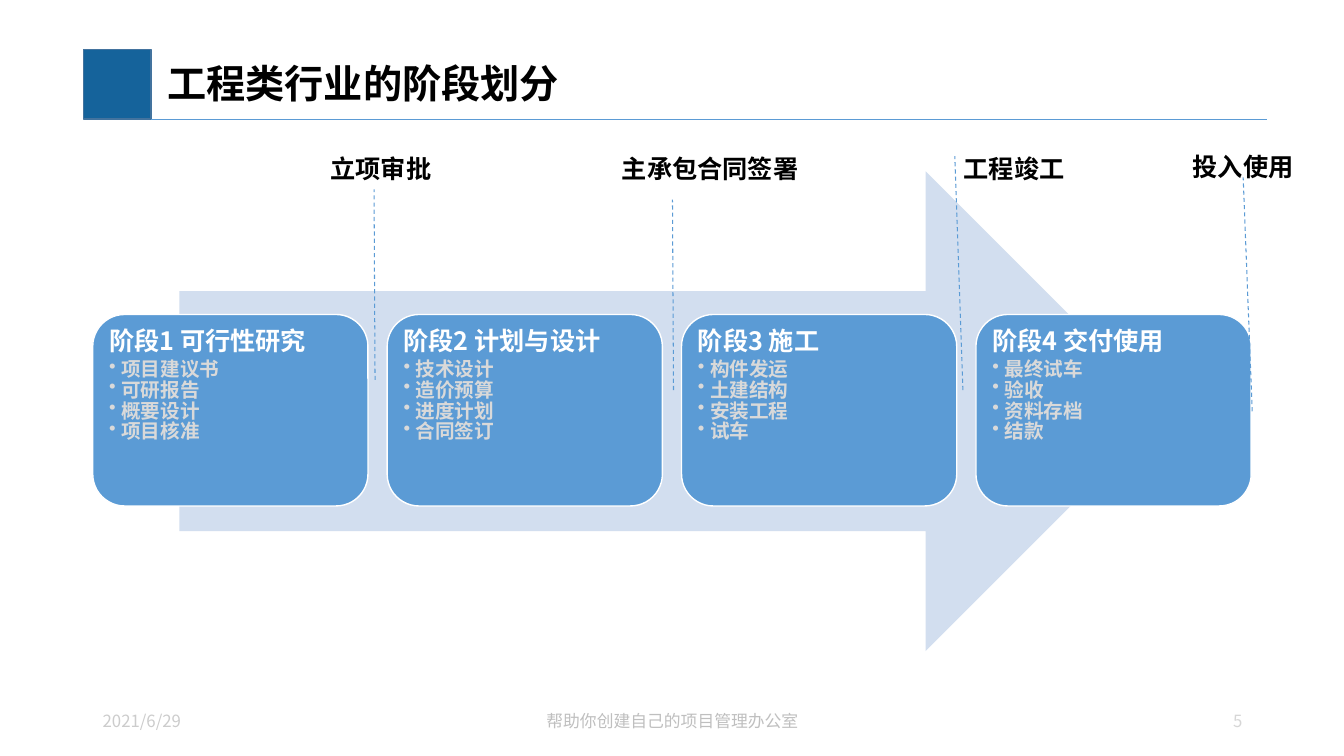
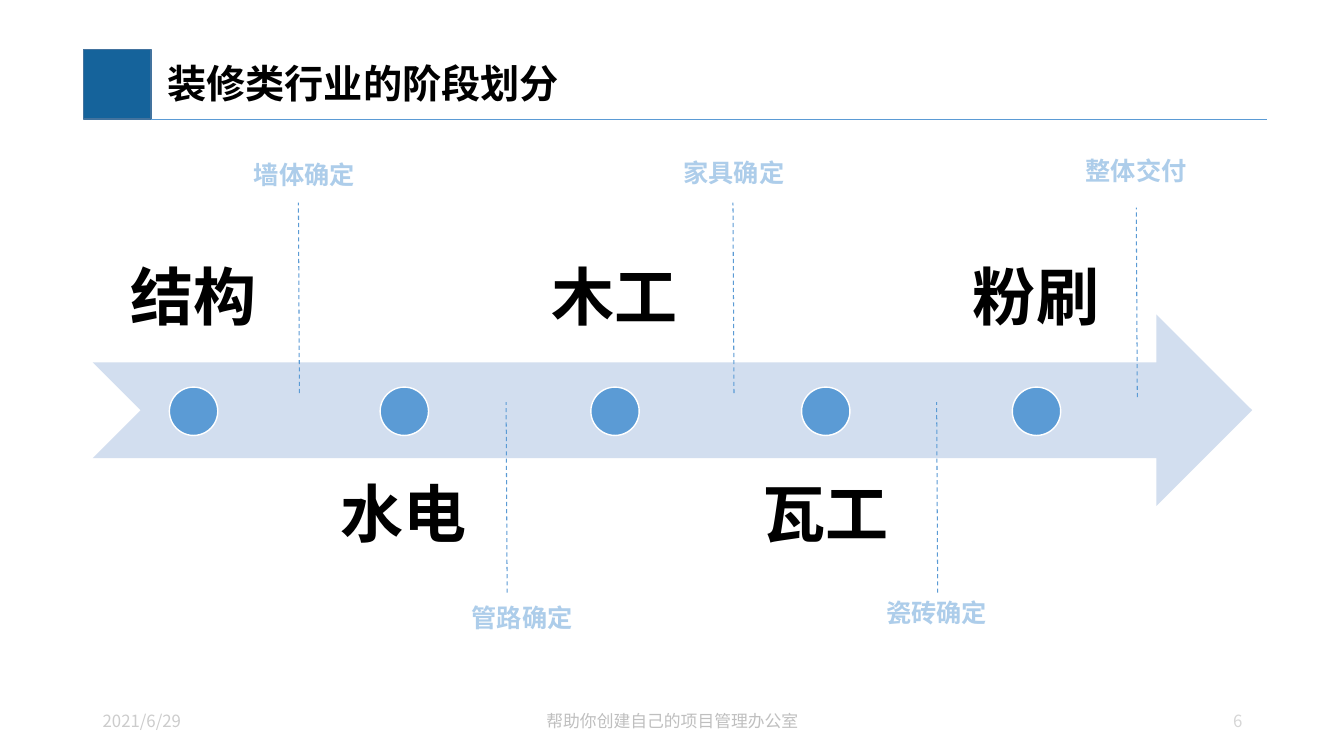
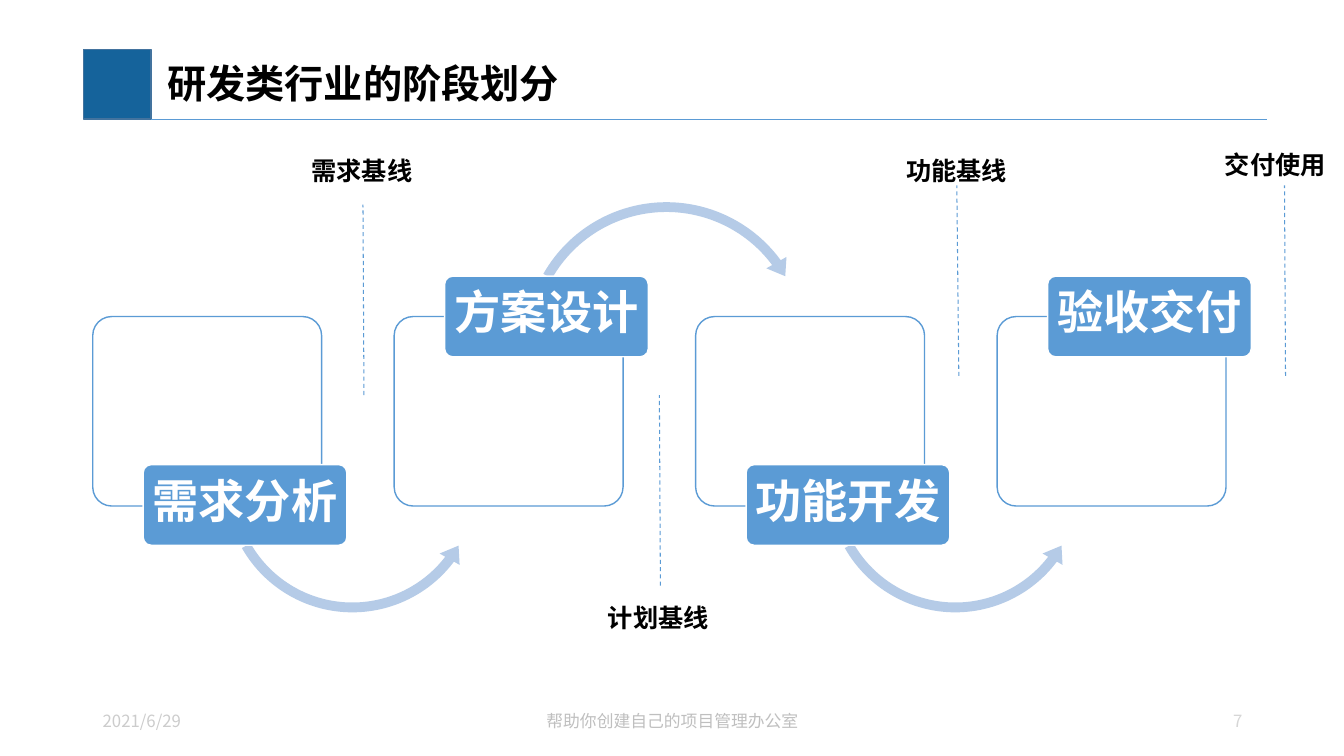
"""Build three slides on how projects are split into phases in different industries."""
from dataclasses import dataclass

from lxml import etree
from pptx import Presentation
from pptx import util as u
from pptx.dml import color
from pptx.enum import dml, shapes, text
from pptx.oxml import ns

FONT = "Noto Sans CJK SC"
COLORS = {
    "black": "000000", "white": "FFFFFF", "navy": "15639B", "navy_edge": "43739E",
    "blue": "5B9BD5", "pale": "D2DEEF", "arc": "B5CBE7", "label": "ADCDEA",
    "bullet": "D9D9D9", "date": "CCCCCC", "footer": "BFBFBF", "number": "D6D6D6",
}
SHAPE = shapes.MSO_SHAPE
ALIGN = text.PP_ALIGN
ANCHOR = text.MSO_ANCHOR
LEFT_EDGE = 0.92


@dataclass(frozen=True)
class Box:
    x: float
    y: float
    w: float
    h: float

    def lengths(self) -> list:
        return [u.Inches(v) for v in (self.x, self.y, self.w, self.h)]


@dataclass(frozen=True)
class Style:
    size: float
    color: str
    bold: bool = True
    align: ALIGN = ALIGN.LEFT
    spacing: float = 1.0
    after: float = 0
    bullet: bool = False


@dataclass(frozen=True)
class Milestone:
    name: str
    x: float
    y: float
    foot: tuple[float, float]
    head: tuple[float, float]
    width: float = 1.21


@dataclass(frozen=True)
class Phase:
    title: str
    tasks: tuple[str, ...]


@dataclass(frozen=True)
class Arc:
    kind: SHAPE
    dx: float
    y: float
    size: float
    adjustments: tuple[float, ...]


TITLE = Style(28, "black", spacing=0.9)
PHASE_TITLE = Style(18, "white", spacing=0.8, after=4.7)
TASK = Style(14, "bullet", spacing=0.8, after=1.3, bullet=True)
STEP = Style(45, "black", align=ALIGN.CENTER, spacing=0.8)
STAGE = Style(33, "white", align=ALIGN.CENTER, spacing=0.8)
DARK_LABEL = Style(18, "black")
PALE_LABEL = Style(18, "label")

PHASES = (
    Phase("阶段1 可行性研究", ("项目建议书", "可研报告", "概要设计", "项目核准")),
    Phase("阶段2 计划与设计", ("技术设计", "造价预算", "进度计划", "合同签订")),
    Phase("阶段3 施工", ("构件发运", "土建结构", "安装工程", "试车")),
    Phase("阶段4 交付使用", ("最终试车", "验收", "资料存档", "结款")),
)
STEPS = ("结构", "水电", "木工", "瓦工", "粉刷")
STAGES = ("需求分析", "方案设计", "功能开发", "验收交付")
ARC_BELOW = Arc(SHAPE.LEFT_CIRCULAR_ARROW, 1.25, 3.49, 2.65,
                (0.037, 4.574, 22.329, 90.245, 0.043))
ARC_ABOVE = Arc(SHAPE.CIRCULAR_ARROW, 1.23, 1.94, 2.94,
                (0.033, 4.086, 194.159, 125.755, 0.039))

ENGINEERING_MILESTONES = (
    Milestone("立项审批", 3.18, 1.47, (3.72, 3.77), (3.71, 1.88)),
    Milestone("主承包合同签署", 6.07, 1.47, (6.68, 3.87), (6.67, 1.98), 1.97),
    Milestone("工程竣工", 9.46, 1.47, (9.55, 3.87), (9.47, 1.55)),
    Milestone("投入使用", 11.73, 1.45, (12.42, 4.08), (12.33, 1.76)),
)
DECORATION_MILESTONES = (
    Milestone("墙体确定", 2.42, 1.53, (2.97, 3.9), (2.96, 2.01)),
    Milestone("管路确定", 4.58, 5.93, (5.03, 5.88), (5.02, 3.99)),
    Milestone("家具确定", 6.68, 1.51, (7.28, 3.9), (7.27, 2.01)),
    Milestone("瓷砖确定", 8.69, 5.88, (9.3, 5.88), (9.29, 3.99)),
    Milestone("整体交付", 10.67, 1.49, (11.28, 3.94), (11.27, 2.06)),
)
DEVELOPMENT_MILESTONES = (
    Milestone("需求基线", 2.99, 1.49, (3.61, 3.92), (3.6, 2.03)),
    Milestone("计划基线", 5.93, 5.93, (6.55, 5.81), (6.54, 3.92)),
    Milestone("功能基线", 8.89, 1.49, (9.51, 3.73), (9.49, 1.84)),
    Milestone("交付使用", 12.05, 1.43, (12.75, 3.73), (12.74, 1.84)),
)


def rgb(name: str) -> color.RGBColor:
    return color.RGBColor.from_string(COLORS[name])


def add_bullet(p) -> None:
    pPr = p._p.get_or_add_pPr()
    indent = u.Inches(0.12)
    pPr.set("marL", str(indent))
    pPr.set("indent", str(-indent))
    etree.SubElement(pPr, ns.qn("a:buChar"), char="•")


def write(tf, lines: list[tuple[str, Style]], anchor: ANCHOR = ANCHOR.TOP,
          insets: tuple[float, ...] = (0.1, 0.05, 0.1, 0.05), wrap: bool = True) -> None:
    left, top, right, bottom = map(u.Inches, insets)
    frame_format = {"margin_left": left, "margin_top": top, "margin_right": right,
                    "margin_bottom": bottom, "vertical_anchor": anchor, "word_wrap": wrap}
    for name, value in frame_format.items():
        setattr(tf, name, value)
    for i, (words, style) in enumerate(lines):
        p = tf.add_paragraph() if i else tf.paragraphs[0]
        paragraph_format = {"alignment": style.align, "line_spacing": style.spacing,
                            "space_before": u.Pt(0), "space_after": u.Pt(style.after)}
        for name, value in paragraph_format.items():
            setattr(p, name, value)
        if style.bullet:
            add_bullet(p)
        r = p.add_run()
        r.text = words
        font_format = {"size": u.Pt(style.size), "bold": style.bold, "name": FONT}
        for name, value in font_format.items():
            setattr(r.font, name, value)
        r.font.color.rgb = rgb(style.color)
        etree.SubElement(r._r.get_or_add_rPr(), ns.qn("a:ea"), typeface=FONT)


def add_text(s, box: Box, words: str, style: Style, **frame):
    sp = s.shapes.add_textbox(*box.lengths())
    write(sp.text_frame, [(words, style)], **frame)
    return sp


def add_shape(s, kind: SHAPE, box: Box, fill: str, line: str | None = None,
              adjustments: tuple[float, ...] = ()):
    sp = s.shapes.add_shape(kind, *box.lengths())
    sp.shadow.inherit = False
    sp.fill.solid()
    sp.fill.fore_color.rgb = rgb(fill)
    if line:
        sp.line.color.rgb = rgb(line)
        sp.line.width = u.Pt(1)
    else:
        sp.line.fill.background()
    for i, value in enumerate(adjustments):
        sp.adjustments[i] = value
    return sp


def add_line(s, start: tuple[float, float], end: tuple[float, float],
             width: float, dashed: bool = False) -> None:
    points = [u.Inches(v) for v in (*start, *end)]
    line = s.shapes.add_connector(shapes.MSO_CONNECTOR.STRAIGHT, *points)
    line.line.color.rgb = rgb("blue")
    line.line.width = u.Pt(width)
    if dashed:
        line.line.dash_style = dml.MSO_LINE.DASH
    etree.SubElement(line._element.spPr, ns.qn("a:effectLst"))


def add_milestones(s, milestones: tuple[Milestone, ...], style: Style) -> None:
    for m in milestones:
        add_line(s, m.foot, m.head, 0.75, dashed=True)
    for m in milestones:
        label = add_text(s, Box(m.x, m.y, m.width, 0.4), m.name, style, wrap=False)
        label.text_frame.auto_size = text.MSO_AUTO_SIZE.SHAPE_TO_FIT_TEXT


def new_slide(prs, title: str, number: int):
    s = prs.slides.add_slide(prs.slide_layouts[5])
    add_shape(s, SHAPE.RECTANGLE, Box(0.83, 0.49, 0.67, 0.69), "navy", "navy_edge")
    add_line(s, (1.5, 1.18), (12.57, 1.18), 0.5)
    heading = s.shapes.title
    heading.left, heading.top, heading.width, heading.height = Box(1.5, 0.5, 10.92, 0.7).lengths()
    write(heading.text_frame, [(title, TITLE)], ANCHOR.MIDDLE, (0.16, 0.05, 0.1, 0.05))
    footers = (
        (Box(LEFT_EDGE, 6.95, 3, 0.4), "2021/6/29", "date", ALIGN.LEFT),
        (Box(4.42, 6.95, 4.5, 0.4), "帮助你创建自己的项目管理办公室", "footer", ALIGN.CENTER),
        (Box(9.33, 6.94, 3.09, 0.42), str(number), "number", ALIGN.RIGHT),
    )
    for box, words, shade, align in footers:
        add_text(s, box, words, Style(12, shade, bold=False, align=align), anchor=ANCHOR.MIDDLE)
    return s


def engineering_slide(prs) -> None:
    s = new_slide(prs, "工程类行业的阶段划分", 5)
    add_shape(s, SHAPE.RIGHT_ARROW, Box(1.78, 1.7, 9.78, 4.76), "pale")
    for i, phase in enumerate(PHASES):
        card = add_shape(s, SHAPE.ROUNDED_RECTANGLE,
                         Box(LEFT_EDGE + i * 2.92, 3.12, 2.73, 1.9), "blue", "white")
        lines = [(phase.title, PHASE_TITLE)] + [(task, TASK) for task in phase.tasks]
        write(card.text_frame, lines, insets=(0.07,) * 4)
    add_milestones(s, ENGINEERING_MILESTONES, DARK_LABEL)


def decoration_slide(prs) -> None:
    s = new_slide(prs, "装修类行业的阶段划分", 6)
    add_shape(s, SHAPE.NOTCHED_RIGHT_ARROW, Box(LEFT_EDGE, 3.12, 11.5, 1.9), "pale")
    for i, step in enumerate(STEPS):
        x = LEFT_EDGE + i * 2.09
        y, anchor = (4.55, ANCHOR.TOP) if i % 2 else (1.7, ANCHOR.BOTTOM)
        add_text(s, Box(x, y, 1.99, 1.9), step, STEP, anchor=anchor, insets=(0.35,) * 4)
        add_shape(s, SHAPE.OVAL, Box(x + 0.76, 3.84, 0.48, 0.48), "blue", "white")
    add_milestones(s, DECORATION_MILESTONES, PALE_LABEL)


def development_slide(prs) -> None:
    s = new_slide(prs, "研发类行业的阶段划分", 7)
    for i, stage in enumerate(STAGES):
        x = LEFT_EDGE + i * 2.99
        raised = i % 2 == 1
        panel = add_shape(s, SHAPE.ROUNDED_RECTANGLE, Box(x, 3.14, 2.27, 1.88),
                          "white", "blue", (0.1,))
        fill_color = panel._element.spPr.find(ns.qn("a:solidFill"))[0]
        etree.SubElement(fill_color, ns.qn("a:alpha"), val="90000")
        if i < len(STAGES) - 1:
            arc = ARC_ABOVE if raised else ARC_BELOW
            add_shape(s, arc.kind, Box(x + arc.dx, arc.y, arc.size, arc.size),
                      "arc", adjustments=arc.adjustments)
        label = add_shape(s, SHAPE.ROUNDED_RECTANGLE,
                          Box(x + 0.5, 2.74 if raised else 4.61, 2.02, 0.8),
                          "blue", "white", (0.1,))
        write(label.text_frame, [(stage, STAGE)], ANCHOR.MIDDLE, (0.07, 0.05, 0.07, 0.05))
    add_milestones(s, DEVELOPMENT_MILESTONES, DARK_LABEL)


def main() -> None:
    prs = Presentation()
    prs.slide_width, prs.slide_height = u.Inches(13.33), u.Inches(7.5)
    for build in (engineering_slide, decoration_slide, development_slide):
        build(prs)
    prs.save("out.pptx")


if __name__ == "__main__":
    main()
